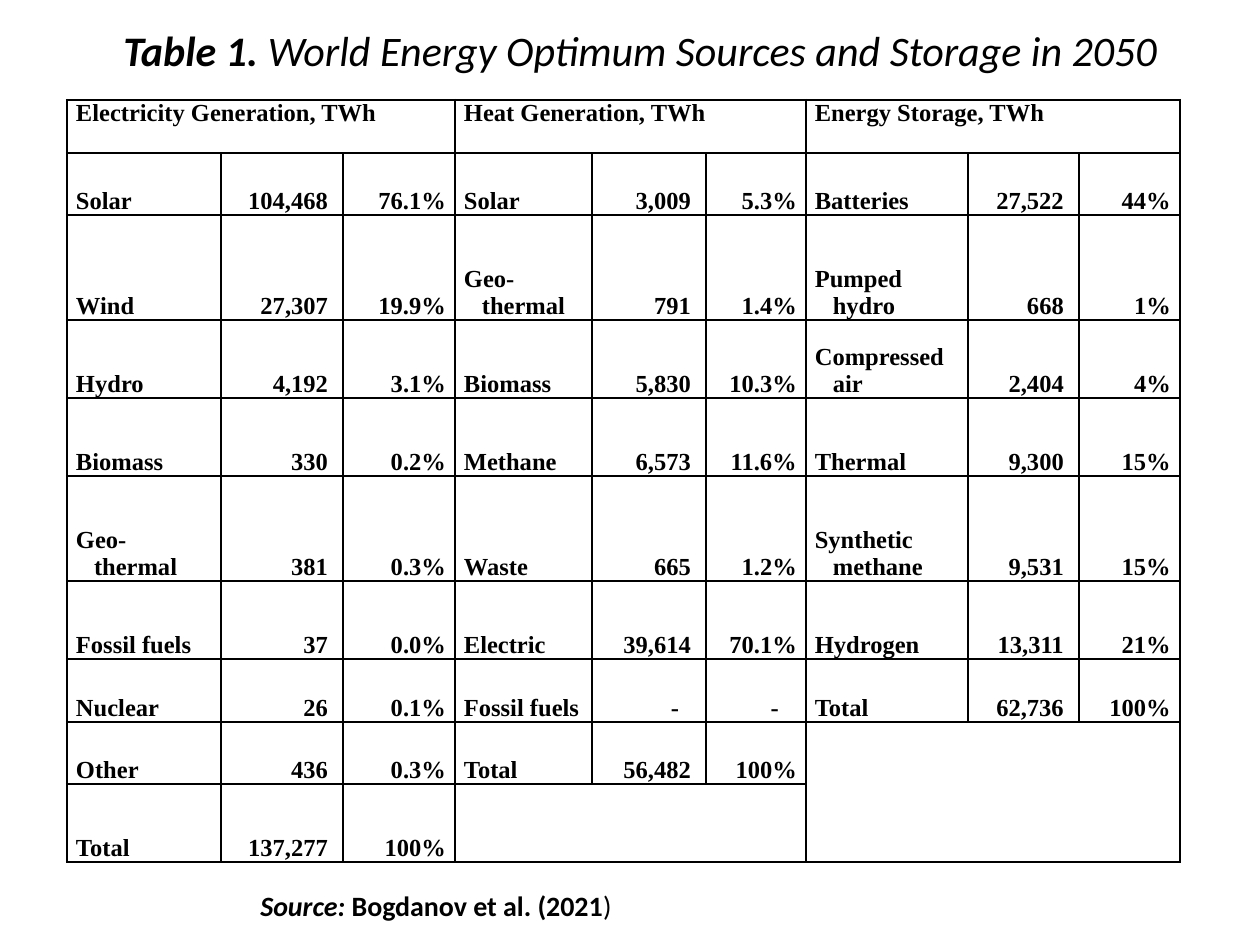
from lxml import etree
from pptx import Presentation
from pptx.dml.color import RGBColor
from pptx.enum.text import MSO_ANCHOR, MSO_AUTO_SIZE, PP_ALIGN
from pptx.oxml.ns import qn
from pptx.util import Emu, Pt

TOP, MID, LOW = MSO_ANCHOR.TOP, MSO_ANCHOR.MIDDLE, MSO_ANCHOR.BOTTOM
LEFT, RIGHT = PP_ALIGN.LEFT, PP_ALIGN.RIGHT
GROW = MSO_AUTO_SIZE.SHAPE_TO_FIT_TEXT
SCALE = 914400 / 126
BLACK = "000000"


def px(num):
    return Emu(round(num * SCALE))


def tint(code):
    return RGBColor.from_string(code)


deck = Presentation()
deck.slide_width, deck.slide_height = px(1260), px(945)
slide = deck.slides.add_slide(deck.slide_layouts[6])
runs = []

labels = [
    ((111, 18, 1070, 63), MID, False, 24, [
        ("Table 1. ", True, True),
        ("World Energy Optimum Sources and Storage in 2050", False, True),
    ]),
    ((248, 882, 795, 47), TOP, True, 16, [
        ("Source:", True, True),
        (" Bogdanov et al. (2021", True, False),
        (")", False, False),
    ]),
]
for rect, anchor, wrap, size, parts in labels:
    frame = slide.shapes.add_textbox(*map(px, rect)).text_frame
    form = {"word_wrap": wrap, "auto_size": GROW, "vertical_anchor": anchor}
    for key, val in form.items():
        setattr(frame, key, val)
    for text, bold, slant in parts:
        run = frame.paragraphs[0].add_run()
        run.text = text
        runs.append((run, {"name": "Calibri", "size": Pt(size),
                           "bold": bold, "italic": slant}))

groups = [
    ("Electricity Generation, TWh", [
        ("Solar", "104,468", "76.1%"),
        ("Wind", "27,307", "19.9%"),
        ("Hydro", "4,192", "3.1%"),
        ("Biomass", "330", "0.2%"),
        ("Geo-\nthermal", "381", "0.3%"),
        ("Fossil fuels", "37", "0.0%"),
        ("Nuclear", "26", "0.1%"),
        ("Other", "436", "0.3%"),
        ("Total", "137,277", "100%"),
    ]),
    ("Heat Generation, TWh", [
        ("Solar", "3,009", "5.3%"),
        ("Geo-\nthermal", "791", "1.4%"),
        ("Biomass", "5,830", "10.3%"),
        ("Methane", "6,573", "11.6%"),
        ("Waste", "665", "1.2%"),
        ("Electric", "39,614", "70.1%"),
        ("Fossil fuels", "-", "-"),
        ("Total", "56,482", "100%"),
    ]),
    ("Energy Storage, TWh", [
        ("Batteries", "27,522", "44%"),
        ("Pumped\nhydro", "668", "1%"),
        ("Compressed\nair", "2,404", "4%"),
        ("Thermal", "9,300", "15%"),
        ("Synthetic\nmethane", "9,531", "15%"),
        ("Hydrogen", "13,311", "21%"),
        ("Total", "62,736", "100%"),
    ]),
]
wides = [154, 122, 112, 137, 114, 100, 162, 111, 101]
highs = [53, 62, 105, 78, 78, 105, 78, 63, 62, 78]
last = len(highs) - 1

table = slide.shapes.add_table(
    len(highs), len(wides), px(67), px(100), px(sum(wides)), px(sum(highs))
).table
table.first_row = table.horz_banding = False
for col, wide in zip(table.columns, wides):
    col.width = px(wide)
for row, high in zip(table.rows, highs):
    row.height = px(high)

texts = {}
for num, (head, items) in enumerate(groups):
    left, end = num * 3, len(items)
    texts[0, left] = head
    table.cell(0, left).merge(table.cell(0, left + 2))
    if end < last:
        table.cell(end + 1, left).merge(table.cell(last, left + 2))
    for r, item in enumerate(items, 1):
        for c, text in enumerate(item, left):
            texts[r, c] = text

for r in range(len(highs)):
    for c in range(len(wides)):
        cell = table.cell(r, c)
        text = texts.get((r, c), "")
        root, part = cell.is_merge_origin, c % 3
        pad = 27 if text == "-" else 15 if part == 1 else 9
        form = {"margin_left": px(9), "margin_right": px(pad),
                "margin_top": 0, "margin_bottom": 0,
                "vertical_anchor": LOW if r else TOP}
        for key, val in form.items():
            setattr(cell, key, val)

        thick = {"lnL": part == 0, "lnR": part == 2 or root,
                 "lnT": r == 0, "lnB": r == last or (root and r > 0)}
        props = cell._tc.get_or_add_tcPr()
        for side, bold in thick.items():
            if bold or not cell.is_spanned:
                line = etree.SubElement(props, qn(f"a:{side}"),
                                        w=str(Pt(1.5 if bold else 1)))
                fill = etree.SubElement(line, qn("a:solidFill"))
                etree.SubElement(fill, qn("a:srgbClr"), val=BLACK)
        cell.fill.background()

        if not text:
            continue
        cell.text = text
        for num, para in enumerate(cell.text_frame.paragraphs):
            para.alignment = RIGHT if part and r else LEFT
            if num:
                para._p.get_or_add_pPr().set("marL", str(px(18)))
            runs.append((para.runs[0], {"name": "Times New Roman",
                                        "size": Pt(14), "bold": True}))

for run, form in runs:
    run.font.color.rgb = tint(BLACK)
    for key, val in form.items():
        setattr(run.font, key, val)

deck.save("out.pptx")
